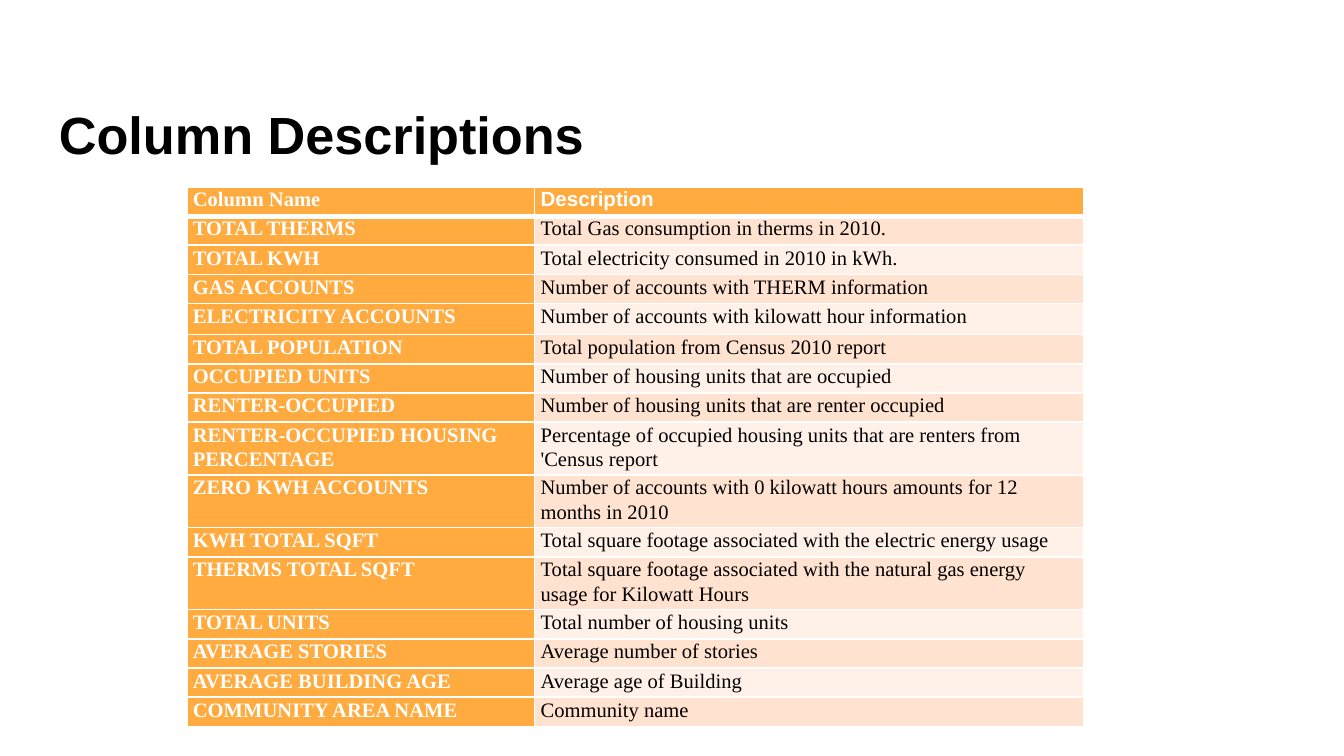
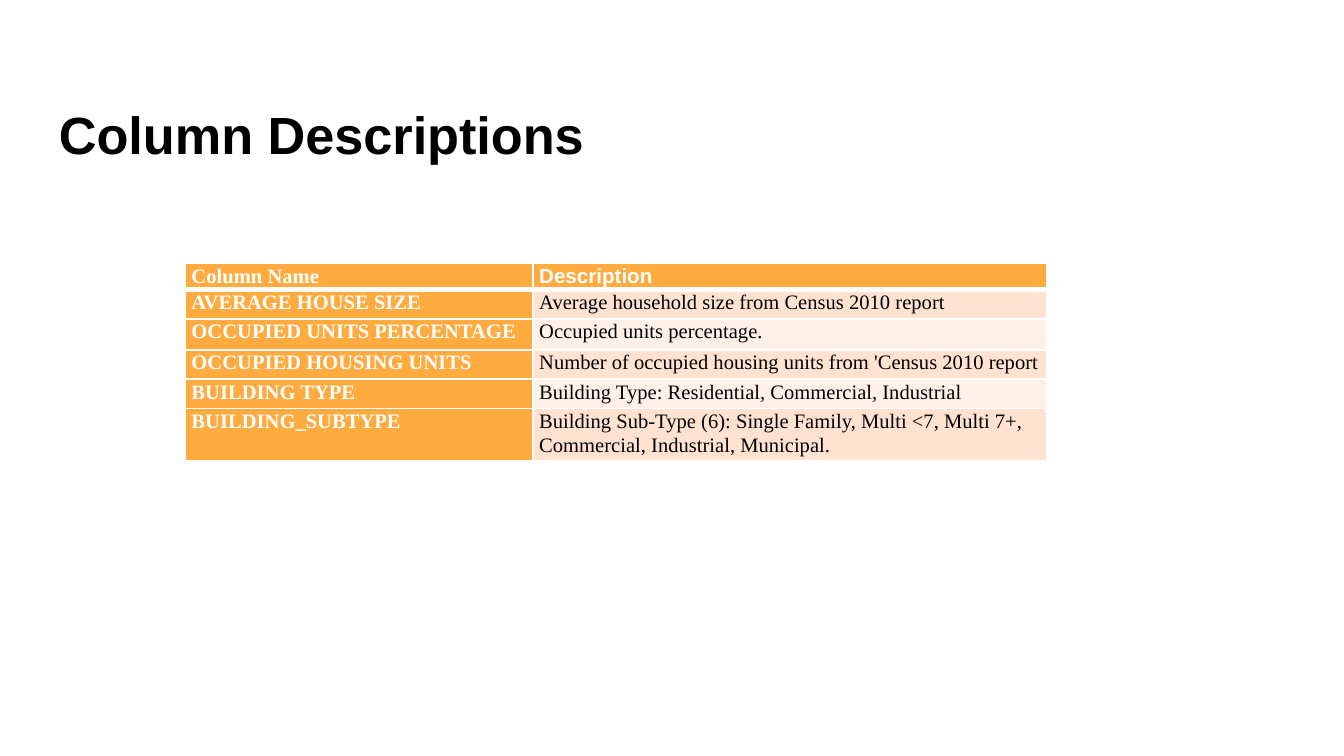
from lxml import etree
from pptx import Presentation
from pptx.dml.color import RGBColor
from pptx.enum.text import MSO_ANCHOR
from pptx.oxml.ns import qn
from pptx.util import Emu, Inches, Pt

PX = Inches(1) // 400
MIDDLE, TOP = MSO_ANCHOR.MIDDLE, MSO_ANCHOR.TOP

BLACK = RGBColor(0x00, 0x00, 0x00)
WHITE = RGBColor(0xFF, 0xFF, 0xFF)
ORANGE = RGBColor(0xFF, 0xAB, 0x40)
PEACH = RGBColor(0xFF, 0xE2, 0xCF)
PALE_PEACH = RGBColor(0xFF, 0xF1, 0xE8)
SANS, SERIF = "Arial", "Times New Roman"

SLIDE_SIZE = (4000, 2250)
TITLE = "Column Descriptions"
TITLE_BOX = (136, 284, 3728, 252)
TITLE_INSET, CELL_INSET = 40, 18
HEADER = ("Column Name", "Description")
ROW, TALL_ROW, TWO_LINE_ROW = 87, 92, 146

# Each table row: column name, description, height
TABLES = [
    {
        "left": 556, "top": 556, "columns": (1035, 1635), "header_height": ROW,
        "rows": [
            ("TOTAL THERMS", "Total Gas consumption in therms in 2010.", ROW),
            ("TOTAL KWH", "Total electricity consumed in 2010 in kWh.", ROW),
            ("GAS ACCOUNTS", "Number of accounts with THERM information", ROW),
            ("ELECTRICITY ACCOUNTS", "Number of accounts with kilowatt hour information", TALL_ROW),
            ("TOTAL POPULATION", "Total population from Census 2010 report", ROW),
            ("OCCUPIED UNITS", "Number of housing units that are occupied", ROW),
            ("RENTER-OCCUPIED", "Number of housing units that are renter occupied", ROW),
            ("RENTER-OCCUPIED HOUSING PERCENTAGE",
             "Percentage of occupied housing units that are renters from 'Census report", TWO_LINE_ROW),
            ("ZERO KWH ACCOUNTS",
             "Number of accounts with 0 kilowatt hours amounts for 12 months in 2010", TWO_LINE_ROW),
            ("KWH TOTAL SQFT", "Total square footage associated with the electric energy usage", ROW),
            ("THERMS TOTAL SQFT",
             "Total square footage associated with the natural gas energy usage for Kilowatt Hours",
             TWO_LINE_ROW),
            ("TOTAL UNITS", "Total number of housing units", ROW),
            ("AVERAGE STORIES", "Average number of stories", ROW),
            ("AVERAGE BUILDING AGE", "Average age of Building", ROW),
            ("COMMUNITY AREA NAME", "Community name", ROW),
        ],
    },
    {
        "left": 552, "top": 784, "columns": (1035, 1530), "header_height": 72,
        "rows": [
            ("AVERAGE HOUSE SIZE", "Average household size from Census 2010 report", ROW),
            ("OCCUPIED UNITS PERCENTAGE", "Occupied units percentage.", TALL_ROW),
            ("OCCUPIED HOUSING UNITS", "Number of occupied housing units from 'Census 2010 report", ROW),
            ("BUILDING TYPE", "Building Type: Residential, Commercial, Industrial", ROW),
            ("BUILDING_SUBTYPE",
             "Building Sub-Type (6): Single Family, Multi <7, Multi 7+, Commercial, Industrial, Municipal.",
             TWO_LINE_ROW),
        ],
    },
]


def px(length):
    return Emu(length * PX)


def write(paragraph, text, size, font, color, bold):
    span = paragraph.add_run()
    span.text = text
    span.font.size = Pt(size)
    span.font.name = font
    span.font.color.rgb = color
    span.font.bold = bold


def add_title(slide):
    box = slide.shapes.add_textbox(*map(px, TITLE_BOX))
    frame = box.text_frame
    frame.word_wrap = True
    frame.vertical_anchor = MIDDLE
    frame.margin_left = frame.margin_right = px(TITLE_INSET)
    frame.margin_top = frame.margin_bottom = px(TITLE_INSET)
    para = frame.paragraphs[0]
    para.line_spacing = 0.9
    write(para, TITLE, 28, SANS, BLACK, True)


def add_borders(cell, top, bottom):
    """Draw white cell borders; widths are in points."""
    properties = cell._tc.get_or_add_tcPr()
    sides = {"lnL": 1, "lnR": 1, "lnT": top, "lnB": bottom}
    for index, (side, width) in enumerate(sides.items()):
        line = etree.Element(qn(f"a:{side}"), w=str(Pt(width)))
        fill = etree.SubElement(line, qn("a:solidFill"))
        etree.SubElement(fill, qn("a:srgbClr"), val=str(WHITE))
        properties.insert(index, line)


def fill_cell(cell, text, row, column):
    is_header, is_label = row == 0, column == 0
    strong = is_header or is_label
    band = PEACH if row % 2 else PALE_PEACH
    cell.fill.solid()
    cell.fill.fore_color.rgb = ORANGE if strong else band
    cell.margin_left = cell.margin_right = px(CELL_INSET)
    cell.margin_top = cell.margin_bottom = 0
    cell.vertical_anchor = TOP
    add_borders(cell, top=3 if row == 1 else 1, bottom=3 if is_header else 1)
    para = cell.text_frame.paragraphs[0]
    para.line_spacing = 1.07
    para.space_after = Pt(8)
    font = SANS if is_header and not is_label else SERIF
    write(para, text, 11, font, WHITE if strong else BLACK, strong)


def add_description_table(slide, content):
    rows = [(*HEADER, content["header_height"]), *content["rows"]]
    widths = content["columns"]
    bounds = (content["left"], content["top"], sum(widths), sum(row[-1] for row in rows))
    table = slide.shapes.add_table(len(rows), len(widths), *map(px, bounds)).table
    table.first_row = table.horz_banding = False
    for column, width in zip(table.columns, widths):
        column.width = px(width)
    for row_index, (*texts, height) in enumerate(rows):
        table.rows[row_index].height = px(height)
        for column_index, text in enumerate(texts):
            fill_cell(table.cell(row_index, column_index), text, row_index, column_index)


def main():
    deck = Presentation()
    deck.slide_width, deck.slide_height = map(px, SLIDE_SIZE)
    blank = deck.slide_layouts[6]
    for content in TABLES:
        slide = deck.slides.add_slide(blank)
        add_title(slide)
        add_description_table(slide, content)
    deck.save("out.pptx")


if __name__ == "__main__":
    main()
